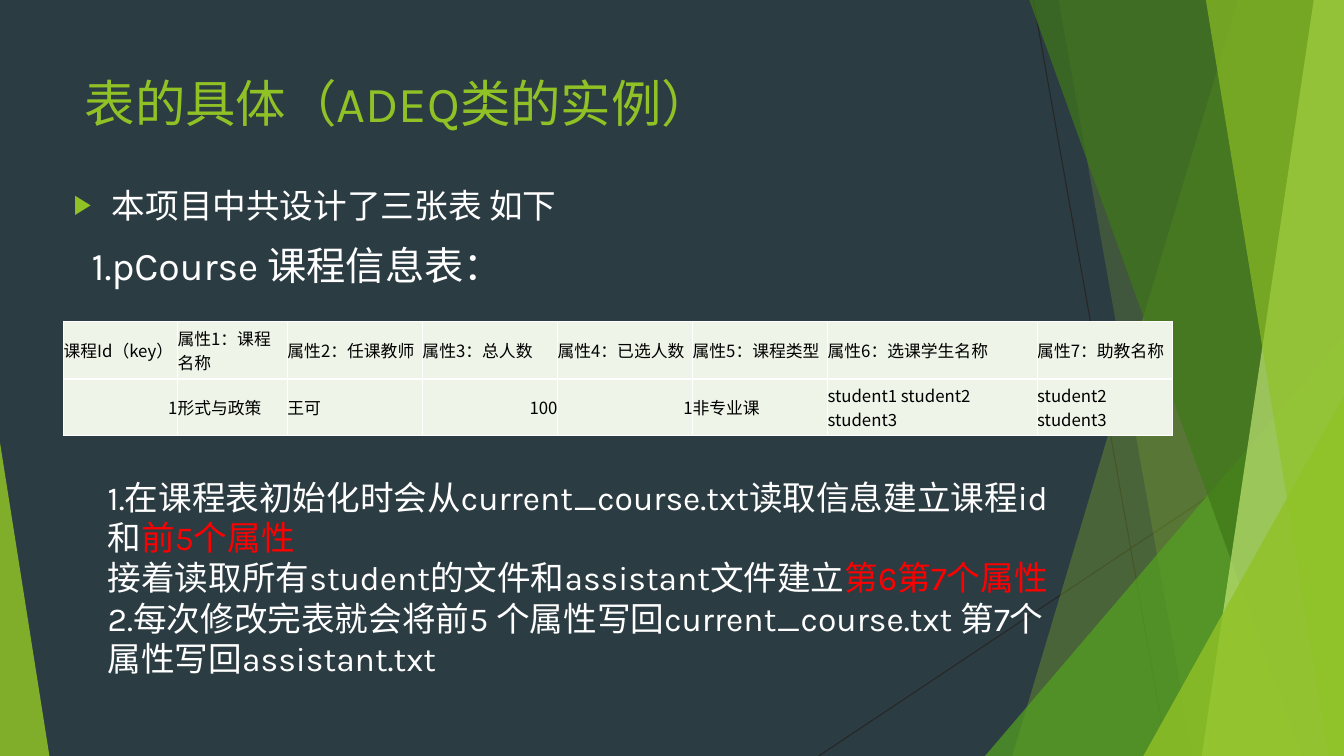
from lxml.etree import SubElement
from pptx import Presentation
from pptx.dml.color import RGBColor
from pptx.enum.shapes import MSO_CONNECTOR as Connector, MSO_SHAPE as Preset
from pptx.enum.text import MSO_ANCHOR as Anchor, MSO_AUTO_SIZE as AutoSize, PP_ALIGN as Align
from pptx.oxml.ns import qn
from pptx.util import Inches, Pt

WIDTH, HEIGHT = Inches(13.33), Inches(7.5)
LATIN, CJK = "Karla", "Noto Sans CJK SC"
GREEN, WHITE, RED, BLACK = "90C226", "FFFFFF", "FF0000", "000000"

BLADES = [
    (92.12, 75.32, GREEN, 30),
    (78.77, 88.75, GREEN, 20),
    (76.59, 96.85, "3F7819", 70),
    (97.75, 89.42, "C0E474", 70),
    (89.72, 98.87, GREEN, 65),
]
COLUMN_SHARES = [8.48, 8.18, 10.05, 10.05, 10.05, 10.05, 15.6, 10.05]
ROW_SHARES = [7.6, 7.47]
COURSES = [
    ["课程Id（key）", "属性1：课程名称", "属性2：任课教师", "属性3：总人数",
     "属性4：已选人数", "属性5：课程类型", "属性6：选课学生名称", "属性7：助教名称"],
    ["1", "形式与政策", "王可", "100", "1", "非专业课",
     "student1 student2 student3", "student2 student3"],
]
STEPS = [
    [("1.在课程表初始化时会从current_course.txt读取信息建立课程id和", WHITE), ("前5个属性", RED)],
    [("接着读取所有student的文件和assistant文件建立", WHITE), ("第6第7个属性", RED)],
    [("2.每次修改完表就会将前5 个属性写回current_course.txt 第7个属性写回assistant.txt", WHITE)],
]


def across(share):
    return round(WIDTH * share / 100)


def down(share):
    return round(HEIGHT * share / 100)


def area(left, top, width, height):
    return across(left), down(top), across(width), down(height)


def paint(target, color, opacity=100):
    target.solid()
    target.fore_color.rgb = RGBColor.from_string(color)
    if opacity < 100:
        tint = target._xPr.find(qn("a:solidFill"))[0]
        SubElement(tint, qn("a:alpha"), val=str(opacity * 1000))


def style(run, size, color, latin=LATIN):
    run.font.size = Pt(size)
    run.font.name = latin
    paint(run.font.fill, color)
    SubElement(run._r.get_or_add_rPr(), qn("a:ea"), typeface=CJK)


def write(frame, paragraphs, size):
    for index, pieces in enumerate(paragraphs):
        paragraph = frame.add_paragraph() if index else frame.paragraphs[0]
        paragraph.alignment = Align.LEFT
        for text, color in pieces:
            run = paragraph.add_run()
            run.text = text
            style(run, size, color)


def finish(shape, color, opacity):
    paint(shape.fill, color, opacity)
    shape.line.fill.background()
    shape.shadow.inherit = False


def add_ray(slide, x1, y1, x2, y2):
    ray = slide.shapes.add_connector(
        Connector.STRAIGHT, across(x1), down(y1), across(x2), down(y2))
    paint(ray.line.fill, "262626")
    ray.line.width = Pt(0.75)
    SubElement(ray._element.spPr, qn("a:effectLst"))


def add_blade(slide, top_x, bottom_x, color, opacity):
    outline = slide.shapes.build_freeform(across(top_x), 0)
    outline.add_line_segments(
        [(WIDTH, 0), (WIDTH, HEIGHT), (across(bottom_x), HEIGHT)], close=True)
    finish(outline.convert_to_shape(), color, opacity)


def add_corner(slide, left, top, width, apex, color, opacity):
    corner = slide.shapes.add_shape(
        Preset.ISOSCELES_TRIANGLE, *area(left, top, width, 100 - top))
    corner.adjustments[0] = apex
    finish(corner, color, opacity)


def fill_placeholder(slide, holder, box, text, size, color):
    slide.shapes._spTree.append(holder._element)
    holder.left, holder.top, holder.width, holder.height = area(*box)
    frame = holder.text_frame
    frame.auto_size = AutoSize.NONE
    frame.vertical_anchor = Anchor.TOP
    write(frame, [[(text, color)]], size)
    return frame.paragraphs[0]


def add_bullet(paragraph):
    paragraph.space_before = Pt(10)
    props = paragraph._p.get_or_add_pPr()
    props.set("marL", str(Inches(0.38)))
    props.set("indent", str(-Inches(0.38)))
    tint = SubElement(props, qn("a:buClr"))
    SubElement(tint, qn("a:srgbClr"), val=GREEN)
    SubElement(props, qn("a:buSzPct"), val="80000")
    SubElement(props, qn("a:buChar"), char="▶")


def add_note(slide, box, paragraphs, size, wrap):
    frame = slide.shapes.add_textbox(*area(*box)).text_frame
    frame.word_wrap = wrap
    frame.auto_size = AutoSize.SHAPE_TO_FIT_TEXT
    write(frame, paragraphs, size)


def border(cell):
    props = cell._tc.get_or_add_tcPr()
    for position, side in enumerate(("lnL", "lnR", "lnT", "lnB")):
        edge = props.makeelement(qn(f"a:{side}"), {"w": str(Pt(1))})
        props.insert(position, edge)
        tint = SubElement(edge, qn("a:solidFill"))
        SubElement(tint, qn("a:srgbClr"), val=WHITE)


def fill_cell(cell, text):
    cell.margin_left = cell.margin_right = cell.margin_top = cell.margin_bottom = 0
    cell.vertical_anchor = Anchor.MIDDLE
    paint(cell.fill, "EEF4E8")
    border(cell)
    paragraph = cell.text_frame.paragraphs[0]
    paragraph.text = text
    paragraph.alignment = Align.RIGHT if text.isdigit() else Align.LEFT
    style(paragraph.runs[0], 12, BLACK, CJK)


def add_courses(slide, left, top):
    box = area(left, top, sum(COLUMN_SHARES), sum(ROW_SHARES))
    table = slide.shapes.add_table(len(ROW_SHARES), len(COLUMN_SHARES), *box).table
    table.first_row = table.horz_banding = False
    for column, share in zip(table.columns, COLUMN_SHARES):
        column.width = across(share)
    for row, share, texts in zip(table.rows, ROW_SHARES, COURSES):
        row.height = down(share)
        for cell, text in zip(row.cells, texts):
            fill_cell(cell, text)


def add_backdrop(slide):
    paint(slide.background.fill, "2C3C43")
    add_ray(slide, 76.89, 0, 86.87, 100)
    add_ray(slide, 100, 53.73, 60.92, 100)
    for blade in BLADES[:2]:
        add_blade(slide, *blade)
    add_corner(slide, 73.29, 44.4, 26.71, 1, "54A021", 72)
    for blade in BLADES[2:]:
        add_blade(slide, *blade)
    add_corner(slide, 85.07, 52.4, 14.93, 1, GREEN, 80)
    add_corner(slide, 0, 58.53, 3.68, 0, GREEN, 85)


def main():
    deck = Presentation()
    deck.slide_width, deck.slide_height = WIDTH, HEIGHT
    slide = deck.slides.add_slide(deck.slide_layouts[1])
    title, body = slide.placeholders
    add_backdrop(slide)
    fill_placeholder(slide, title, (5.55, 8.93, 70.52, 19.2),
                     "表的具体（ADEQ类的实例）", 36, GREEN)
    intro = fill_placeholder(slide, body, (4.73, 23.73, 70.52, 56.53),
                             "本项目中共设计了三张表 如下", 24, WHITE)
    add_bullet(intro)
    add_courses(slide, 4.73, 42.53)
    add_note(slide, (6.08, 31.2, 33.23, 7.6), [[("1.pCourse 课程信息表：", WHITE)]], 28, False)
    add_note(slide, (7.28, 62.4, 71.94, 28.27), STEPS, 24, True)
    deck.save("out.pptx")


if __name__ == "__main__":
    main()
